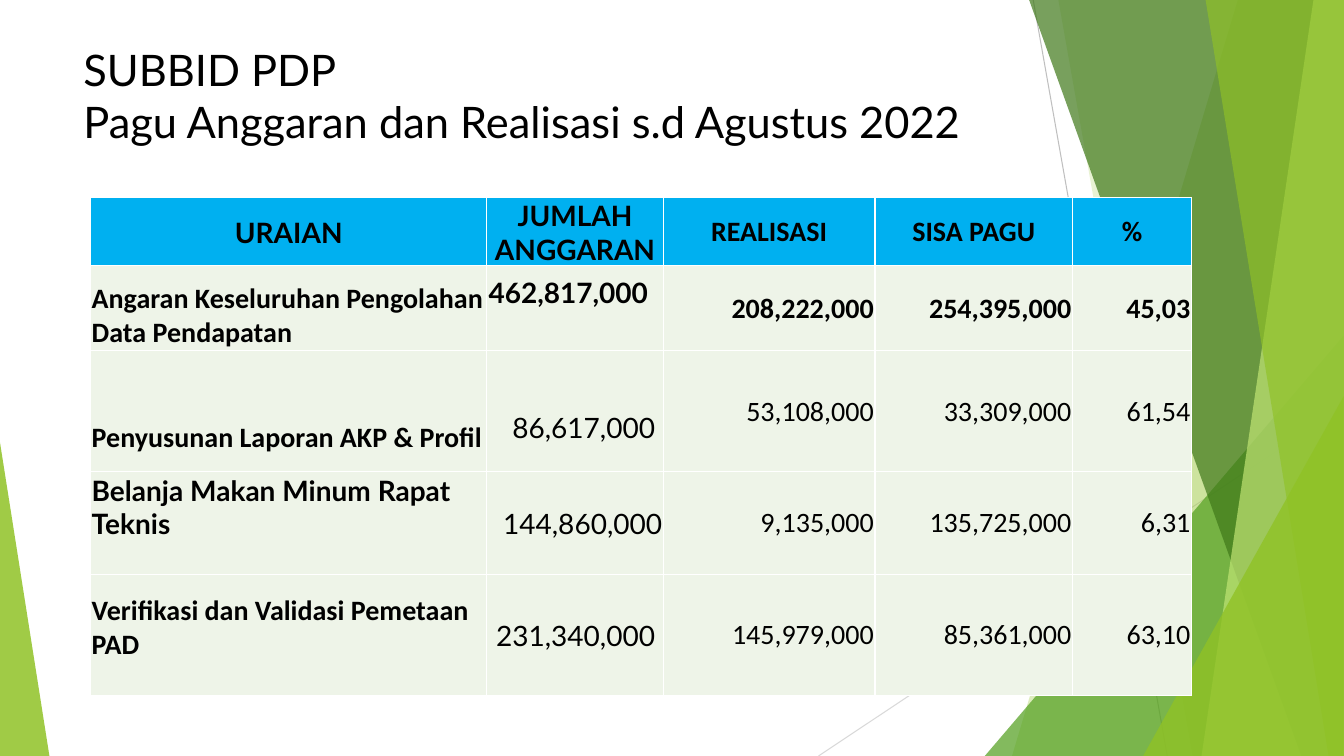
from dataclasses import dataclass

import pptx
import pptx.dml.color
import pptx.enum.shapes
import pptx.enum.text
import pptx.oxml
import pptx.oxml.ns
import pptx.shapes.autoshape
import pptx.slide
import pptx.table
import pptx.util

ALIGN = pptx.enum.text.PP_ALIGN
ANCHOR = pptx.enum.text.MSO_ANCHOR
SHAPES = pptx.enum.shapes.MSO_SHAPE
qn = pptx.oxml.ns.qn

# Grid: square cells of a tenth of an inch
COLUMNS, ROWS = 133.33, 75


@dataclass(frozen=True)
class Theme:
    text: str = "000000"
    header: str = "00B0F0"
    body: str = "EEF4E8"
    border: str = "FFFFFF"
    lime: str = "90C226"
    pale_lime: str = "C0E474"
    green: str = "54A021"
    dark_green: str = "3F7819"
    title_size: int = 31
    table_size: int = 20
    display_font: str = "Lato"
    body_font: str = "Calibri"


THEME = Theme()


@dataclass(frozen=True)
class Ray:
    start: tuple[float, float]
    end: tuple[float, float]
    color: str


@dataclass(frozen=True)
class Facet:
    """Full-height panel reaching the right edge, with a slanted left side."""
    top: float
    bottom: float
    color: str
    opacity: int


@dataclass(frozen=True)
class Wedge:
    """Right triangle standing on the bottom edge; apex is 0 left or 1 right."""
    left: float
    top: float
    width: float
    apex: int
    color: str
    opacity: int


@dataclass(frozen=True)
class CellText:
    """Table entry; right, top and bottom are extra insets in grid cells."""
    text: str
    font: str = THEME.body_font
    bold: bool = False
    align: ALIGN = ALIGN.RIGHT
    anchor: ANCHOR = ANCHOR.MIDDLE
    right: float = 0.1
    top: float = 0.1
    bottom: float = 0


def header(text: str, font: str = THEME.body_font) -> CellText:
    return CellText(text, font, True, ALIGN.CENTER)


def label(text: str, font: str = THEME.body_font, bottom: float = 0) -> CellText:
    return CellText(text, font, True, ALIGN.LEFT, ANCHOR.BOTTOM, bottom=bottom)


def budget(text: str, **options) -> CellText:
    return CellText(text, THEME.display_font, **options)


RAYS = [
    Ray((102.5, 0), (115.8, ROWS), "BFBFBF"),
    Ray((COLUMNS, 40.3), (81.2, ROWS), "D9D9D9"),
]
PANELS = [
    Facet(122.8, 100.4, THEME.lime, 30),
    Facet(105, 118.3, THEME.lime, 20),
    Wedge(97.7, 33.3, 35.6, 1, THEME.green, 72),
    Facet(102.1, 129.1, THEME.dark_green, 70),
    Facet(130.3, 119.2, THEME.pale_lime, 70),
    Facet(119.6, 131.8, THEME.lime, 65),
    Wedge(113.4, 39.3, 19.9, 1, THEME.lime, 80),
    Wedge(0, 43.9, 4.9, 0, THEME.lime, 85),
]
COLUMN_WIDTHS = [39.3, 17.5, 21, 19.6, 11.8]
ROW_HEIGHTS = [6.7, 8.4, 12, 10.2, 12]
TABLE = [
    [header("URAIAN", THEME.display_font), header("JUMLAH ANGGARAN", THEME.display_font),
     header("REALISASI"), header("SISA PAGU"), header("%")],
    [label("Angaran Keseluruhan Pengolahan Data Pendapatan"),
     budget("462,817,000", bold=True, right=1.5, bottom=3.2),
     CellText("208,222,000", bold=True), CellText("254,395,000", bold=True),
     CellText("45,03", bold=True)],
    [label("Penyusunan Laporan AKP & Profil", bottom=1.6),
     budget("86,617,000", right=0.8, top=3.4),
     CellText("53,108,000"), CellText("33,309,000"), CellText("61,54")],
    [label("Belanja Makan Minum Rapat Teknis", THEME.display_font, bottom=3.3),
     budget("144,860,000"),
     CellText("9,135,000"), CellText("135,725,000"), CellText("6,31")],
    [label("Verifikasi dan Validasi Pemetaan PAD", bottom=3.3),
     budget("231,340,000", right=0.8),
     CellText("145,979,000"), CellText("85,361,000"), CellText("63,10")],
]


def grid(cells: float) -> pptx.util.Length:
    return pptx.util.Inches(cells / 10)


def rgb(color: str) -> pptx.dml.color.RGBColor:
    return pptx.dml.color.RGBColor.from_string(color)


def format_text(text_frame, font: str, size: int, bold: bool) -> None:
    for paragraph in text_frame.paragraphs:
        for run in paragraph.runs:
            run.font.name = font
            run.font.size = pptx.util.Pt(size)
            run.font.bold = bold
            run.font.color.rgb = rgb(THEME.text)


def draw_ray(slide: pptx.slide.Slide, ray: Ray) -> None:
    connector = slide.shapes.add_connector(
        pptx.enum.shapes.MSO_CONNECTOR.STRAIGHT, *map(grid, ray.start + ray.end))
    connector.line.color.rgb = rgb(ray.color)
    connector.line.width = pptx.util.Pt(0.75)
    properties = connector._element.spPr
    properties.append(properties.makeelement(qn("a:effectLst"), {}))


def draw_panel(slide: pptx.slide.Slide, panel: Facet | Wedge) -> None:
    if isinstance(panel, Facet):
        builder = slide.shapes.build_freeform(grid(panel.top), 0)
        corners = [(COLUMNS, 0), (COLUMNS, ROWS), (panel.bottom, ROWS)]
        builder.add_line_segments([(grid(x), grid(y)) for x, y in corners])
        shape = builder.convert_to_shape()
    else:
        shape = slide.shapes.add_shape(
            SHAPES.ISOSCELES_TRIANGLE, grid(panel.left), grid(panel.top),
            grid(panel.width), grid(ROWS - panel.top))
        shape.adjustments[0] = panel.apex
    shape.shadow.inherit = False
    shape.line.fill.background()
    shape.fill.solid()
    shape.fill.fore_color.rgb = rgb(panel.color)
    color = shape._element.spPr.find(qn("a:solidFill")).find(qn("a:srgbClr"))
    color.append(color.makeelement(qn("a:alpha"), {"val": str(panel.opacity * 1000)}))


def draw_title(slide: pptx.slide.Slide, text: str) -> None:
    box = slide.shapes.add_textbox(grid(7.3), grid(3.8), grid(94), grid(11.4))
    box.text_frame.word_wrap = True
    box.text_frame.text = text
    format_text(box.text_frame, THEME.display_font, THEME.title_size, False)


def fill_cell(cell: pptx.table._Cell, entry: CellText, color: str) -> None:
    cell.text_frame.text = entry.text
    cell.text_frame.paragraphs[0].alignment = entry.align
    format_text(cell.text_frame, entry.font, THEME.table_size, entry.bold)
    cell.vertical_anchor = entry.anchor
    cell.margin_left, cell.margin_right = grid(0.1), grid(entry.right)
    cell.margin_top, cell.margin_bottom = grid(entry.top), grid(entry.bottom)
    properties = cell._tc.get_or_add_tcPr()
    for side in ("lnL", "lnR", "lnT", "lnB"):
        properties.append(pptx.oxml.parse_xml(
            f'<a:{side} xmlns:a="http://schemas.openxmlformats.org/drawingml/2006/main" '
            f'w="12700"><a:solidFill><a:srgbClr val="{THEME.border}"/></a:solidFill></a:{side}>'))
    cell.fill.solid()
    cell.fill.fore_color.rgb = rgb(color)


def draw_table(slide: pptx.slide.Slide) -> None:
    table = slide.shapes.add_table(
        len(ROW_HEIGHTS), len(COLUMN_WIDTHS), grid(9), grid(19.6),
        grid(sum(COLUMN_WIDTHS)), grid(sum(ROW_HEIGHTS))).table
    for column, width in zip(table.columns, COLUMN_WIDTHS):
        column.width = grid(width)
    for index, (row, height) in enumerate(zip(table.rows, ROW_HEIGHTS)):
        row.height = grid(height)
        for cell, entry in zip(row.cells, TABLE[index]):
            fill_cell(cell, entry, THEME.body if index else THEME.header)


def main() -> None:
    presentation = pptx.Presentation()
    presentation.slide_width, presentation.slide_height = grid(COLUMNS), grid(ROWS)
    slide = presentation.slides.add_slide(presentation.slide_layouts[6])
    # Backdrop
    for ray in RAYS:
        draw_ray(slide, ray)
    for panel in PANELS:
        draw_panel(slide, panel)
    # Content
    draw_title(slide, "SUBBID PDP\vPagu Anggaran dan Realisasi s.d Agustus 2022")
    draw_table(slide)
    presentation.save("out.pptx")


if __name__ == "__main__":
    main()
